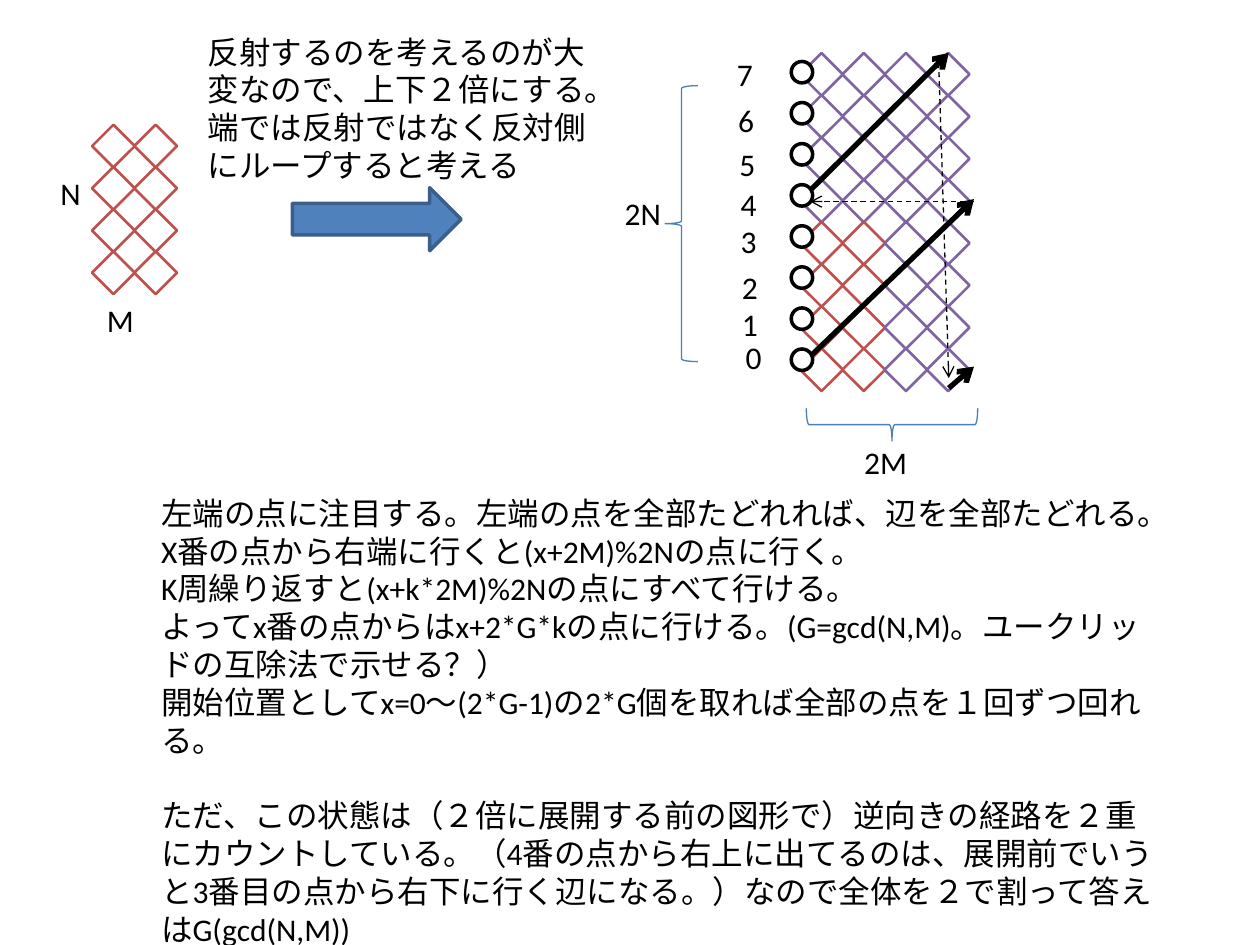
from lxml import etree
from pptx import Presentation
from pptx.dml.color import RGBColor
from pptx.enum import dml, shapes, text
from pptx.oxml.ns import qn
from pptx.util import Inches, Pt

deck = Presentation()
deck.slide_width, deck.slide_height = Inches(10), Inches(7.5)
slide = deck.slides.add_slide(deck.slide_layouts[6])
kinds = shapes.MSO_SHAPE


def tint(hue):
    return RGBColor.from_string(hue)


def draw(kind, left, top, width, height, fill, edge, weight, turn=0):
    item = slide.shapes.add_shape(kind, Inches(left), Inches(top), Inches(width), Inches(height))
    item.shadow.inherit = False
    item.rotation = turn
    if fill:
        item.fill.solid()
        item.fill.fore_color.rgb = tint(fill)
    else:
        item.fill.background()
    item.line.color.rgb = tint(edge)
    item.line.width = Pt(weight)


red, purple = "C0504D", "8064A2"
side, pitch = 0.24, 0.335
for left, top, cols, rows in [(0.78, 1.04, 2, 4), (6.4, 0.47, 4, 8)]:
    for row in range(rows):
        for col in range(cols):
            hue = red if col < 2 and row >= rows - 4 else purple
            draw(kinds.RECTANGLE, left + col * pitch, top + row * pitch,
                 side, side, "FFFFFF", hue, 1.5, 45)

arrows = [
    (6.44, 2.82, 7.73, 1.58, 3),
    (6.35, 1.59, 7.53, 0.42, 3),
    (7.73, 1.6, 6.43, 1.6, 0.75),
    (7.53, 3.08, 7.73, 2.91, 3),
    (7.45, 0.5, 7.53, 3, 0.75),
]
for left, top, right, base, weight in arrows:
    arrow = slide.shapes.add_connector(shapes.MSO_CONNECTOR.STRAIGHT, Inches(left), Inches(top),
                                       Inches(right), Inches(base))
    arrow.line.color.rgb = tint("000000")
    arrow.line.width = Pt(weight)
    if weight < 1:
        arrow.line.dash_style = dml.MSO_LINE.DASH
    etree.SubElement(arrow.line._get_or_add_ln(), qn("a:tailEnd"), type="arrow")
    etree.SubElement(arrow._element.spPr, qn("a:effectLst"))

for dot in range(8):
    draw(kinds.OVAL, 6.28, 2.77 - dot * 0.326, 0.17, 0.17, "FFFFFF", "000000", 2)

draw(kinds.LEFT_BRACE, 5.28, 0.68, 0.26, 2.19, None, "4B7EBC", 0.75)
draw(kinds.LEFT_BRACE, 6.95, 2.69, 0.26, 1.36, None, "4B7EBC", 0.75, 270)
draw(kinds.RIGHT_ARROW, 2.32, 1.49, 1.34, 0.5, "4F81BD", "3A5F8C", 2)

intro = [
    "反射するのを考えるのが大変なので、上下２倍にする。",
    "端では反射ではなく反対側にループすると考える",
]
proof = [
    "左端の点に注目する。左端の点を全部たどれれば、辺を全部たどれる。",
    "X番の点から右端に行くと(x+2M)%2Nの点に行く。",
    "K周繰り返すと(x+k*2M)%2Nの点にすべて行ける。",
    "よってx番の点からはx+2*G*kの点に行ける。(G=gcd(N,M)。ユークリッドの互除法で示せる？）",
    "開始位置としてx=0～(2*G-1)の2*G個を取れば全部の点を１回ずつ回れる。",
    "ただ、この状態は（２倍に展開する前の図形で）逆向きの経路を２重にカウントしている。"
    "（4番の点から右上に出てるのは、展開前でいうと3番目の点から右下に行く辺になる。）"
    "なので全体を２で割って答えはG(gcd(N,M))",
]
notes = [
    (1.55, 0.21, 3.31, 1.31, intro),
    (1.18, 3.87, 8.15, 3.13, proof),
]
labels = [
    ("2M", 6.76, 3.47), ("2N", 4.86, 1.49), ("M", 0.75, 2.34), ("N", 0.38, 1.33),
    ("0", 5.82, 2.63), ("1", 5.79, 2.37), ("2", 5.79, 2.08), ("3", 5.78, 1.71),
    ("4", 5.78, 1.42), ("5", 5.77, 1.1), ("6", 5.76, 0.75), ("7", 5.75, 0.39),
]
notes += [(left, top, 0.68, 0.4, [word]) for word, left, top in labels]
for left, top, width, height, lines in notes:
    box = slide.shapes.add_textbox(Inches(left), Inches(top), Inches(width), Inches(height))
    frame = box.text_frame
    frame.word_wrap = True
    frame.auto_size = text.MSO_AUTO_SIZE.SHAPE_TO_FIT_TEXT
    frame.text = "\n".join(lines)
    for para in frame.paragraphs:
        font = para.runs[0].font
        font.name, font.size = "Calibri", Pt(18)
        font.color.rgb = tint("000000")
    if lines is proof:
        frame.paragraphs[-1].space_before = Pt(21.7)

deck.save("out.pptx")
